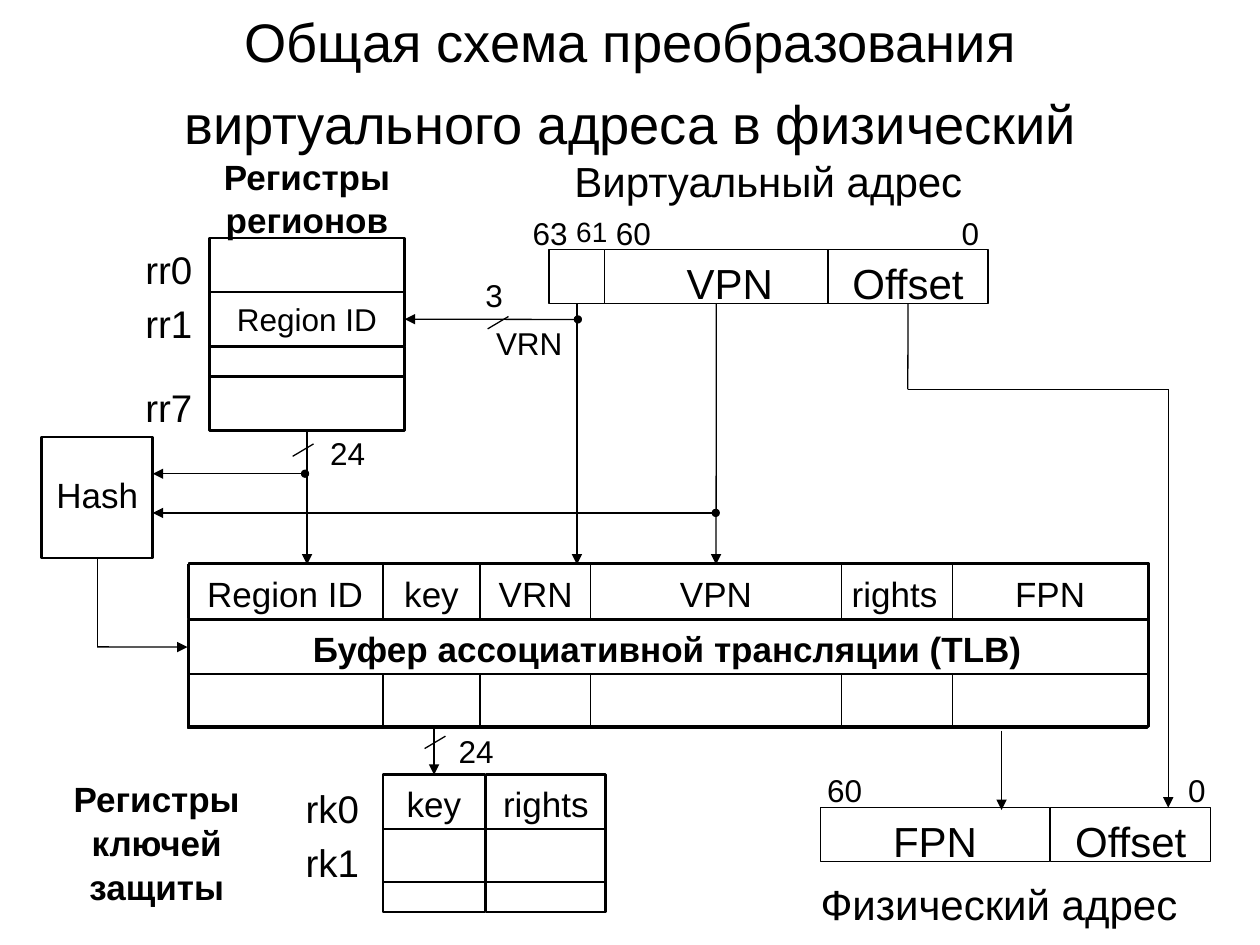
from dataclasses import dataclass
from typing import NamedTuple, Optional, Union

from lxml import etree
from pptx import Presentation
from pptx import util as u
from pptx.dml.color import RGBColor
from pptx.enum import shapes, text
from pptx.oxml.ns import qn
from pptx.shapes.autoshape import Shape


@dataclass(frozen=True)
class Theme:
    font: str = "Arial"
    ink: RGBColor = RGBColor(0, 0, 0)
    paper: RGBColor = RGBColor(255, 255, 255)
    title: float = 31
    address: float = 24
    register: float = 22
    field: float = 20
    bit: float = 18
    small_bit: float = 16
    thin: float = 0.75
    thick: float = 1.5


THEME = Theme()
ROW = 1.09
TOP, LEFT, BOTTOM, RIGHT = range(4)


class Box(NamedTuple):
    """Place in centimetres, with its caption."""
    left: float
    top: float
    width: float
    height: float
    caption: str = ""
    size: float = THEME.field
    bold: bool = False
    line: float = THEME.thin


class Point(NamedTuple):
    x: float
    y: float


class Port(NamedTuple):
    """The middle of one side of a cell."""
    cell: Shape
    side: int


End = Union[Point, Port]


def write(shape: Shape, box: Box) -> None:
    frame = shape.text_frame
    frame.word_wrap = True
    frame.vertical_anchor = text.MSO_ANCHOR.TOP
    frame.text = box.caption
    for paragraph in frame.paragraphs:
        paragraph.alignment = text.PP_ALIGN.CENTER
        paragraph.line_spacing = 1.04
        for run in paragraph.runs:
            run.font.name = THEME.font
            run.font.size = u.Pt(box.size)
            run.font.bold = box.bold
            run.font.color.rgb = THEME.ink


def place(box: Box) -> list:
    return [u.Cm(v) for v in box[:4]]


def add_label(slide, box: Box) -> None:
    write(slide.shapes.add_textbox(*place(box)), box)


def add_cell(slide, box: Box, fill: Optional[RGBColor] = THEME.paper,
             kind=shapes.MSO_SHAPE.RECTANGLE) -> Shape:
    cell = slide.shapes.add_shape(kind, *place(box))
    cell.shadow.inherit = False
    if fill is None:
        cell.fill.background()
    else:
        cell.fill.solid()
        cell.fill.fore_color.rgb = fill
    cell.line.color.rgb = THEME.ink
    cell.line.width = u.Pt(box.line)
    if box.caption:
        write(cell, box)
    return cell


def add_wire(slide, start: End, end: End, arrow: bool = False) -> None:
    corners = [p if isinstance(p, Point) else Point(0, 0) for p in (start, end)]
    wire = slide.shapes.add_connector(
        shapes.MSO_CONNECTOR.STRAIGHT, *[u.Cm(v) for p in corners for v in p])
    if isinstance(start, Port):
        wire.begin_connect(start.cell, start.side)
    if isinstance(end, Port):
        wire.end_connect(end.cell, end.side)
    wire.line.color.rgb = THEME.ink
    wire.line.width = u.Pt(THEME.thin)
    if arrow:
        etree.SubElement(wire.line._get_or_add_ln(), qn("a:tailEnd"), type="triangle")
    etree.SubElement(wire._element.spPr, qn("a:effectLst"))


def add_title(slide) -> None:
    title = slide.shapes.title
    title.left, title.top, title.width, title.height = map(u.Cm, (1.27, 0.76, 22.86, 1.78))
    write(title, Box(0, 0, 0, 0, "Общая схема преобразования виртуального адреса в физический",
                     THEME.title))
    frame = title.text_frame
    frame.auto_size = text.MSO_AUTO_SIZE.NONE
    frame.vertical_anchor = text.MSO_ANCHOR.MIDDLE
    frame.margin_bottom = u.Cm(0.48)
    frame.paragraphs[0].line_spacing = u.Pt(47)


def main() -> None:
    deck = Presentation()
    deck.slide_width, deck.slide_height = u.Cm(25.4), u.Cm(19.05)
    slide = deck.slides.add_slide(deck.slide_layouts[5])
    add_title(slide)

    # Region registers
    regions = [add_cell(slide, Box(4.22, top, 3.94, height, caption, THEME.bit, line=THEME.thick))
               for top, height, caption in ((4.8, ROW, ""), (5.89, ROW, "Region ID"),
                                            (7.59, ROW, ""), (6.98, 0.61, ""))]
    _, region_id, last_region, _ = regions

    # Virtual and physical addresses
    _, virtual_offset, region_bits, _, _ = [
        add_cell(slide, Box(left, top, width, ROW, caption, THEME.address))
        for left, top, width, caption in (
            (12.19, 5.03, 5.05, "VPN"), (16.69, 5.03, 3.23, "Offset"), (11.07, 5.03, 1.12, ""),
            (21.18, 16.28, 3.23, "Offset"), (16.54, 16.28, 4.62, "FPN"))]

    # Translation buffer
    columns = {"key": (7.72, 1.96), "rights": (16.84, 2.39), "FPN": (19.2, 3.94),
               "Region ID": (3.78, 3.94), "VRN": (9.68, 2.24), "VPN": (11.91, 5.05)}
    buffer = {}
    for name, (left, width) in columns.items():
        buffer[name] = add_cell(slide, Box(left, 11.38, width, ROW, name))
        add_cell(slide, Box(left, 13.59, width, ROW))
    buffer_name = add_cell(slide, Box(3.78, 12.5, 19.35, ROW,
                                      "Буфер ассоциативной трансляции (TLB)", bold=True))
    add_cell(slide, Box(3.81, 11.35, 19.35, 3.3, line=THEME.thick), fill=None)

    hash_unit = add_cell(slide, Box(0.84, 8.81, 2.24, 2.44, "Hash", line=THEME.thick))
    hash_unit.text_frame.margin_top = u.Cm(0.7)

    # Protection key registers
    keys = {}
    for name, left, width in (("key", 7.72, 2.06), ("rights", 9.8, 2.41)):
        for top, height, caption in ((15.62, ROW, name), (16.71, ROW, ""), (17.78, 0.61, "")):
            cell = add_cell(slide, Box(left, top, width, height, caption, line=THEME.thick))
            if caption:
                keys[caption] = cell

    arrows = (
        (Port(region_bits, BOTTOM), Point(11.63, 11.38)),
        (Point(11.63, 6.44), Port(region_id, RIGHT)),
        (Port(last_region, BOTTOM), Point(6.19, 11.38)),
        (Point(14.44, 6.13), Port(buffer["VPN"], TOP)),
        (Point(6.17, 9.55), Point(3.08, 9.55)),
        (Point(14.44, 10.34), Point(3.08, 10.34)),
        (Point(23.55, 7.85), Point(23.55, 16.28)),
        (Point(8.75, 14.68), Port(keys["key"], TOP)),
        (Point(1.96, 13.04), Port(buffer_name, LEFT)),
        (Point(20.19, 14.73), Point(20.19, 16.33)),
    )
    for start, end in arrows:
        add_wire(slide, start, end, arrow=True)
    add_wire(slide, Port(virtual_offset, BOTTOM), Point(18.3, 7.85))
    add_wire(slide, Point(18.3, 7.85), Point(23.55, 7.85))
    add_wire(slide, Port(hash_unit, BOTTOM), Point(1.96, 13.04))

    # Bus width strokes and junctions
    for x, y in ((9.83, 6.63), (5.9, 9.2), (8.56, 15.09)):
        add_wire(slide, Point(x, y), Point(x + 0.42, y - 0.25))
    for x, y in ((14.43, 10.34), (6.15, 9.55), (11.65, 6.44)):
        add_cell(slide, Box(x - 0.07, y - 0.07, 0.14, 0.14), THEME.ink, shapes.MSO_SHAPE.OVAL)

    registers = [Box(left, top, width, 1.02, name, THEME.register)
                 for name, left, top, width in (
                     ("rr0", 2.26, 4.8, 2.29), ("rr1", 2.26, 5.89, 2.29), ("rr7", 2.26, 7.59, 2.29),
                     ("rk0", 5.11, 15.67, 3.18), ("rk1", 5.11, 16.76, 3.18))]
    bits = [Box(left, top, 1.4, 1.02, number, size)
            for number, left, top, size in (
                ("63", 10.39, 4.17, THEME.bit), ("61", 11.23, 4.17, THEME.small_bit),
                ("60", 12.07, 4.17, THEME.bit), ("0", 18.86, 4.17, THEME.bit),
                ("60", 16.33, 15.39, THEME.bit), ("0", 23.43, 15.39, THEME.bit))]
    buses = [Box(left, top, 2.24, ROW, caption, THEME.bit)
             for caption, left, top in (("VRN", 9.55, 6.38), ("3", 8.84, 5.41),
                                        ("24", 5.89, 8.59), ("24", 8.48, 14.61))]
    headings = [
        Box(4.22, 2.97, 3.94, 2.08, "Регистры\vрегионов", bold=True),
        Box(1.19, 15.52, 3.94, 2.49, "Регистры\vключей\vзащиты", bold=True),
        Box(11.07, 2.97, 8.84, ROW, "Виртуальный адрес", THEME.address),
        Box(15.72, 17.55, 8.84, ROW, "Физический адрес", THEME.address),
    ]
    for label in registers + bits + buses + headings:
        add_label(slide, label)

    deck.save("out.pptx")


if __name__ == "__main__":
    main()
